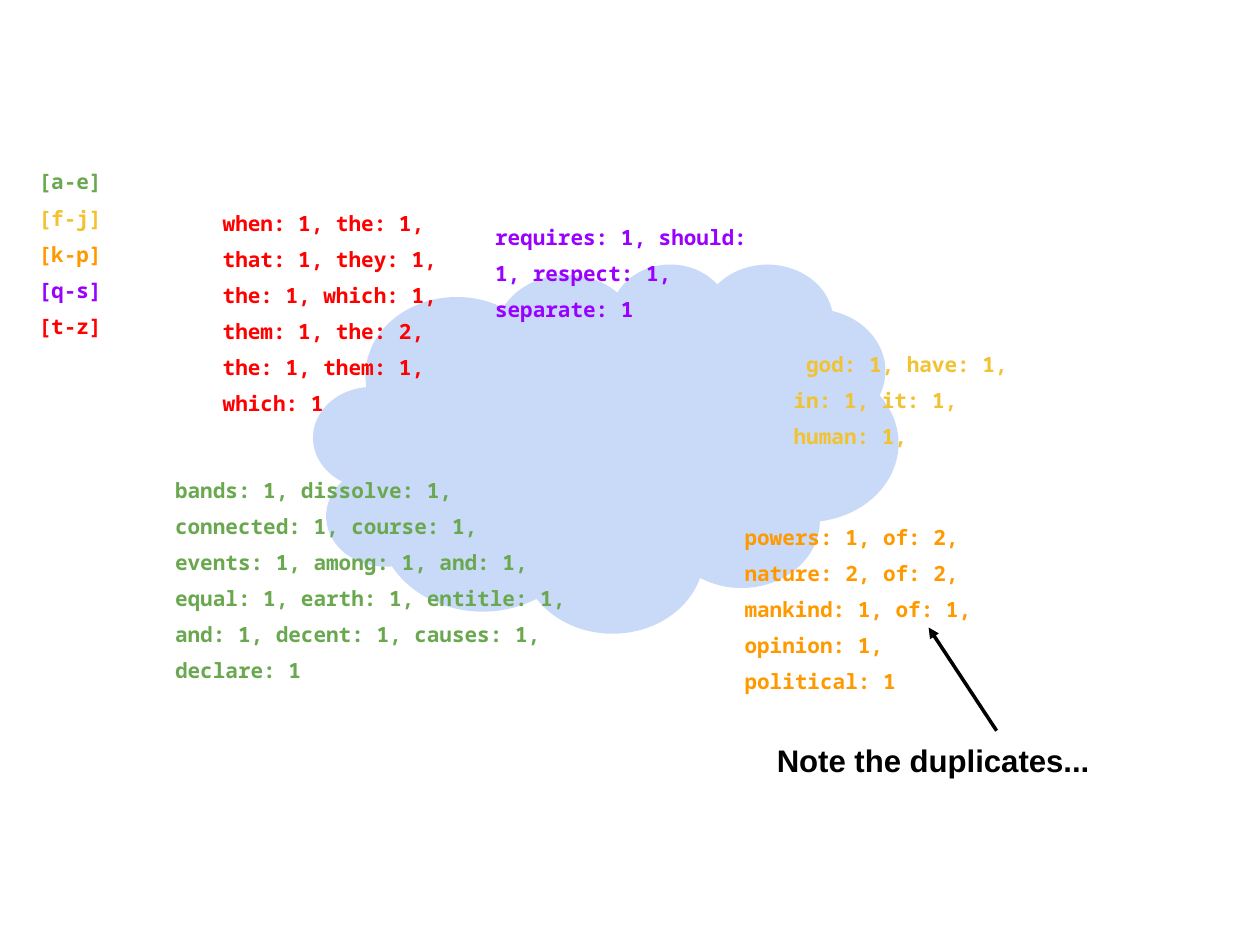
"""Build a slide of word counts grouped by letter range around a cloud."""
from lxml.etree import SubElement
from pptx import Presentation
from pptx.dml.color import RGBColor
from pptx.enum.shapes import MSO_CONNECTOR, MSO_SHAPE
from pptx.enum.text import MSO_ANCHOR, MSO_AUTO_SIZE, PP_ALIGN
from pptx.oxml.ns import qn
from pptx.util import Cm, Pt

COLORS = {
    "a-e": "6AA84F",
    "f-j": "F1C232",
    "k-p": "FF9900",
    "q-s": "9900FF",
    "t-z": "FF0000",
    "cloud": "C9DAF8",
    "note": "000000",
}
COUNTS = [
    ("t-z", (4.24, 4.06, 5.46, 4.29), [
        "when: 1, the: 1, that: 1, they: 1, the: 1, which: 1, "
        "them: 1, the: 2, the: 1, them: 1, which: 1",
    ]),
    ("a-e", (3.28, 9.45, 8.84, 4.29), [
        "bands: 1, dissolve: 1,",
        "connected: 1, course: 1,",
        "events: 1, among: 1, and: 1,",
        "equal: 1, earth: 1, entitle: 1,",
        "and: 1, decent: 1, causes: 1,",
        "declare: 1",
    ]),
    ("k-p", (14.76, 10.36, 5.46, 3.63), [
        "powers: 1, of: 2,",
        "nature: 2, of: 2,",
        "mankind: 1, of: 1,",
        "opinion: 1, political: 1",
    ]),
    ("f-j", (15.75, 6.81, 4.98, 2.29), ["god: 1, have: 1, in: 1, it: 1, human: 1,"]),
    ("q-s", (9.73, 4.6, 6.2, 1.6), ["requires: 1, should: 1, respect: 1, separate: 1"]),
]
RANGES = ["a-e", "f-j", "k-p", "q-s", "t-z"]


def add_text(place, lines, keys, font="Noto Sans Mono", size=12, spacing=1.43):
    frame = slide.shapes.add_textbox(*map(Cm, place)).text_frame
    frame.word_wrap = True
    frame.auto_size = MSO_AUTO_SIZE.SHAPE_TO_FIT_TEXT
    frame.vertical_anchor = MSO_ANCHOR.MIDDLE
    frame.margin_left = frame.margin_right = Cm(0.25)
    frame.margin_top = frame.margin_bottom = Cm(0.25)
    frame.text = "\n".join(lines)
    for paragraph, key in zip(frame.paragraphs, keys):
        paragraph.line_spacing = spacing
        for run in paragraph.runs:
            run.font.name = font
            run.font.size = Pt(size)
            run.font.bold = True
            run.font.color.rgb = RGBColor.from_string(COLORS[key])
    return frame


prs = Presentation()
prs.slide_width, prs.slide_height = Cm(25.4), Cm(19.05)
slide = prs.slides.add_slide(prs.slide_layouts[6])

cloud = slide.shapes.add_shape(MSO_SHAPE.CLOUD, Cm(6.32), Cm(5.31), Cm(11.79), Cm(7.44))
cloud.shadow.inherit = False
cloud.fill.solid()
cloud.fill.fore_color.rgb = RGBColor.from_string(COLORS["cloud"])
cloud.line.fill.background()

for letters, place, lines in COUNTS:
    counts = add_text(place, lines, [letters] * len(lines))
    if letters == "f-j":
        counts.paragraphs[0]._p.get_or_add_pPr().set("indent", str(Cm(0.25)))

note = add_text((14.71, 14.66, 8.2, 1.3), ["Note the duplicates..."], ["note"], "Arial", 17.8, 1.05)
note.vertical_anchor = MSO_ANCHOR.TOP
note.paragraphs[0].alignment = PP_ALIGN.CENTER

arrow = slide.shapes.add_connector(
    MSO_CONNECTOR.STRAIGHT, Cm(20.09), Cm(14.73), Cm(18.72), Cm(12.65)
)
arrow.line.width = Pt(2)
arrow.line.color.rgb = RGBColor.from_string(COLORS["note"])
SubElement(arrow.line._get_or_add_ln(), qn("a:tailEnd"), type="triangle")
SubElement(arrow._element.spPr, qn("a:effectLst"))

add_text((0.53, 2.87, 2.11, 4.27), [f"[{letters}]" for letters in RANGES], RANGES)

prs.save("out.pptx")
